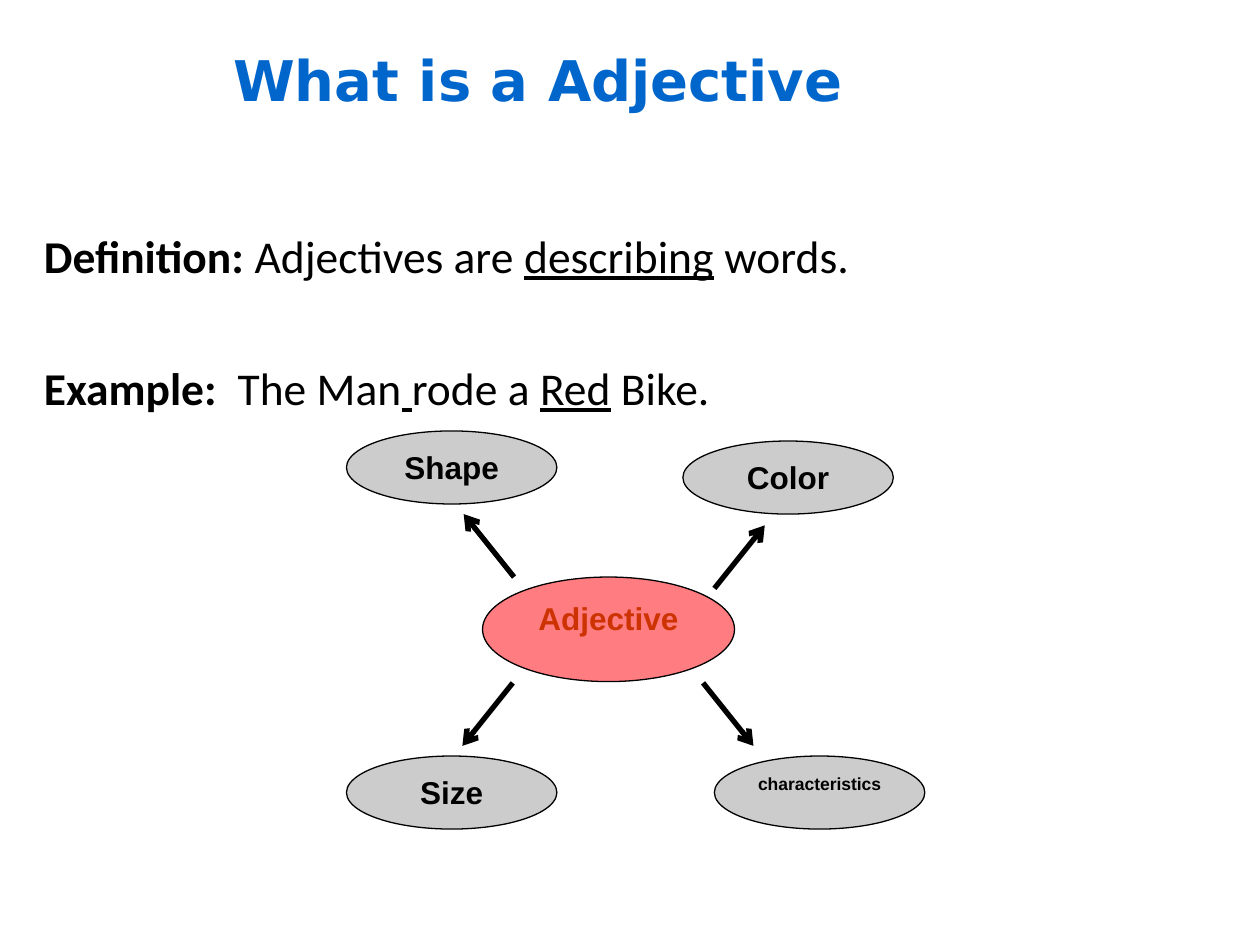
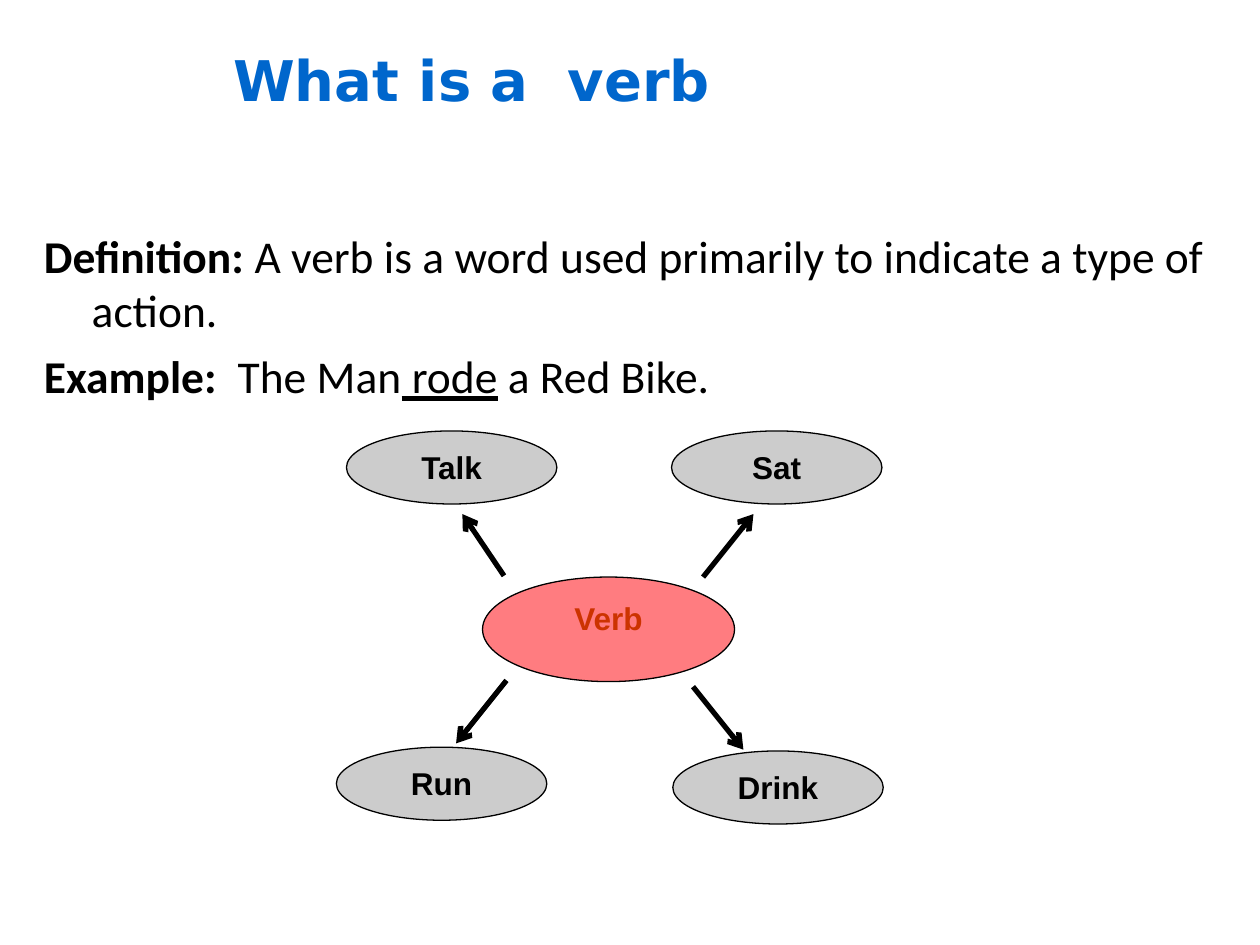
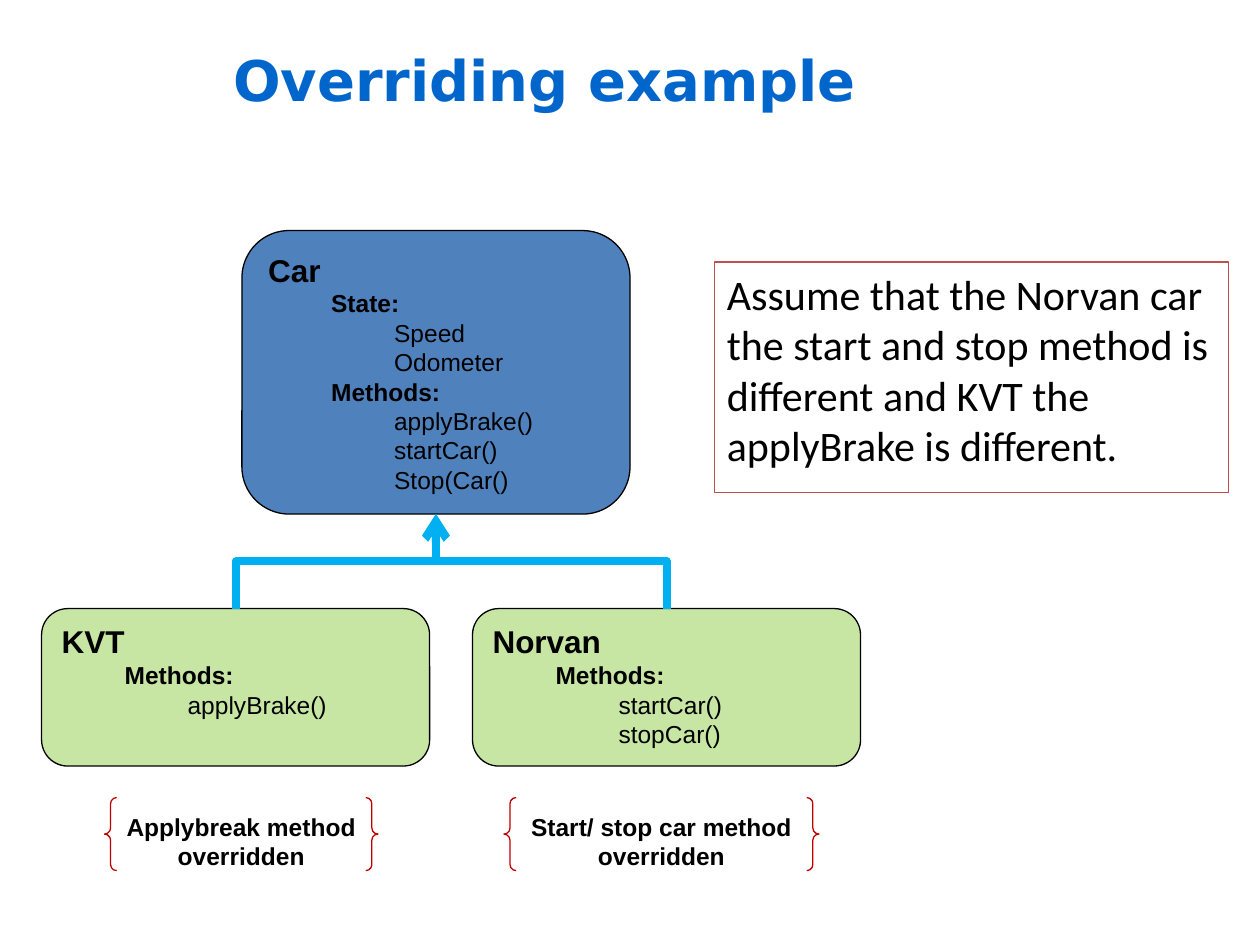
from lxml.etree import SubElement
from pptx import Presentation
from pptx.dml.color import RGBColor
from pptx.enum.shapes import MSO_CONNECTOR, MSO_SHAPE
from pptx.enum.text import MSO_ANCHOR, MSO_AUTO_SIZE, PP_ALIGN
from pptx.oxml.ns import qn
from pptx.util import Inches, Pt

BLACK, WHITE, TITLE_BLUE = "000000", "FFFFFF", "0066CC"
HUB_PINK, HUB_TEXT, WORD_GREY = "FF7C80", "CC3300", "CCCCCC"
CLASS_BLUE, SUBCLASS_GREEN, INHERIT_BLUE = "4F81BD", "C7E6A4", "00B0F0"
NOTE_RED, BRACE_RED = "C0504D", "C00000"

TITLE_BOX = (1.75, 0, 8.25, 1.25)
BODY_BOX = (0.25, 1.76, 9.5, 5.41)
WEB_ORIGIN = (2.67, 3.42)
WORD_SIZE = (1.67, 0.58)
DIAGRAM_ORIGIN = (0.33, 1.83)
CLASS_WIDTH = 3.08

TITLE_FONT = {"name": "DejaVu Sans", "size": Pt(32), "bold": True}
BODY_FONT = {"name": "Calibri", "size": Pt(26)}
NOTE_FONT = {"name": "Calibri", "size": Pt(24)}
LABEL_FONT = {"name": "Arial", "size": Pt(18), "bold": True}
SMALL_FONT = {**LABEL_FONT, "size": Pt(10)}
MEMBER_FONT = {**LABEL_FONT, "size": Pt(14)}
LEVEL_FONTS = (LABEL_FONT, MEMBER_FONT, {**MEMBER_FONT, "bold": False})

WORD_SLIDES = [
    {
        "title": "What is a Adjective",
        "definition": [("Definition: ", "b"), ("Adjectives are ", ""),
                       ("describing", "u"), (" words.", "")],
        "example": [("Example: ", "b"), (" The Man", ""), (" ", "u"),
                    ("rode a ", ""), ("Red", "u"), (" Bike.", "")],
        "example_gap": 44.2,
        "hub": "Adjective",
        "words": [
            ("Color", LABEL_FONT, (2.75, 0.08), (3, 1.25), (3.4, 0.75)),
            ("Shape", LABEL_FONT, (0.08, 0), (1.41, 1.16), (1.01, 0.66)),
            ("Size", LABEL_FONT, (0.08, 2.58), (1.4, 2), (1, 2.5)),
            ("characteristics", SMALL_FONT, (3, 2.58), (2.91, 2), (3.31, 2.5)),
        ],
    },
    {
        "title": "What is a  verb",
        "definition": [("Definition: ", "b"),
                       ("A verb is a word used primarily to indicate a type of action.", "")],
        "example": [("Example: ", "b"), (" The Man", ""), (" rode", "u"),
                    (" a Red Bike.", "")],
        "example_gap": 6.5,
        "hub": "Verb",
        "words": [
            ("Sat", LABEL_FONT, (2.66, 0), (2.91, 1.16), (3.31, 0.66)),
            ("Talk", LABEL_FONT, (0.08, 0), (1.33, 1.15), (1, 0.66)),
            ("Run", LABEL_FONT, (0, 2.51), (1.35, 1.98), (0.95, 2.48)),
            ("Drink", LABEL_FONT, (2.67, 2.54), (2.83, 2.03), (3.23, 2.53)),
        ],
    },
]

CAR_MEMBERS = [("Car", 0), ("State:", 1), ("Speed", 2), ("Odometer", 2),
               ("Methods:", 1), ("applyBrake()", 2), ("startCar()", 2), ("Stop(Car()", 2)]
SUBCLASSES = [
    (0, [("KVT", 0), ("Methods:", 1), ("applyBrake()", 2)]),
    (3.42, [("Norvan", 0), ("Methods:", 1), ("startCar()", 2), ("stopCar()", 2)]),
]
OVERRIDES = [
    (0.5, 2.17, "Applybreak method overridden"),
    (3.67, 2.5, "Start/ stop car method overridden"),
]


def rgb(hex_code):
    """Turn a hex string into a colour."""
    return RGBColor.from_string(hex_code)


def inches(*lengths):
    """Turn numbers into lengths in inches."""
    return [Inches(length) for length in lengths]


def add_run(paragraph, text, font, color=BLACK):
    """Append a run formatted from a dict of font values."""
    run = paragraph.add_run()
    run.text = text
    run.font.color.rgb = rgb(color)
    for key, value in font.items():
        setattr(run.font, key, value)


def add_panel(slide, kind, box, fill, line):
    """Add an outlined shape with top-left text and return it."""
    panel = slide.shapes.add_shape(kind, *inches(*box))
    panel.shadow.inherit = False
    if fill:
        panel.fill.solid()
        panel.fill.fore_color.rgb = rgb(fill)
    else:
        panel.fill.background()
    panel.line.color.rgb = rgb(line)
    panel.line.width = Pt(0.75)
    panel.text_frame.word_wrap = True
    panel.text_frame.vertical_anchor = MSO_ANCHOR.TOP
    panel.text_frame.paragraphs[0].alignment = PP_ALIGN.LEFT
    return panel


def add_label(slide, kind, box, fill, line, text, font, color=BLACK):
    """Add a shape with one centred label."""
    label = add_panel(slide, kind, box, fill, line).text_frame.paragraphs[0]
    label.alignment = PP_ALIGN.CENTER
    add_run(label, text, font, color)


def add_arrow(slide, kind, start, end, color, width):
    """Add a connector with an open arrowhead at its end."""
    arrow = slide.shapes.add_connector(kind, *inches(*start, *end))
    arrow.line.color.rgb = rgb(color)
    arrow.line.width = Pt(width)
    SubElement(arrow.line._get_or_add_ln(), qn("a:tailEnd"), type="arrow")
    SubElement(arrow._element.spPr, qn("a:effectLst"))
    return arrow


def add_inheritance(slide, child, parent):
    """Add an elbow that leaves a child upwards and ends at its parent."""
    center_x, center_y = (child[0] + parent[0]) / 2, (child[1] + parent[1]) / 2
    half_x, half_y = child[0] - center_x, child[1] - center_y
    elbow = add_arrow(slide, MSO_CONNECTOR.ELBOW,
                      (center_x - half_y, center_y + half_x),
                      (center_x + half_y, center_y - half_x), INHERIT_BLUE, 4.5)
    elbow._element.spPr.find(qn("a:xfrm")).set("rot", str(270 * 60000))


def add_titled_slide(prs, title):
    """Add a title-only slide and format its title."""
    slide = prs.slides.add_slide(prs.slide_layouts[5])
    heading = slide.shapes.title
    heading.left, heading.top, heading.width, heading.height = inches(*TITLE_BOX)
    frame = heading.text_frame
    frame.auto_size = MSO_AUTO_SIZE.NONE
    frame.vertical_anchor = MSO_ANCHOR.MIDDLE
    frame.paragraphs[0].alignment = PP_ALIGN.LEFT
    add_run(frame.paragraphs[0], title, TITLE_FONT, TITLE_BLUE)
    return slide


def add_explanation(slide, box, definition, example, example_gap):
    """Write the definition and example with hanging indents."""
    frame = slide.shapes.add_textbox(*inches(*box)).text_frame
    frame.word_wrap = True
    lines = ((frame.paragraphs[0], definition, 6.5),
             (frame.add_paragraph(), example, example_gap))
    for paragraph, parts, gap in lines:
        paragraph.space_before = Pt(gap)
        properties = paragraph._p.get_or_add_pPr()
        properties.set("marL", str(Inches(0.38)))
        properties.set("indent", str(Inches(-0.38)))
        for text, style in parts:
            add_run(paragraph, text, {**BODY_FONT, "bold": style == "b",
                                      "underline": style == "u"})


def add_word_web(slide, origin, hub, words):
    """Draw a hub ellipse with arrows to its surrounding words."""
    left, top = origin
    add_label(slide, MSO_SHAPE.OVAL, (left + 1.16, top + 1.16, 2, 0.83),
              HUB_PINK, BLACK, hub, LABEL_FONT, HUB_TEXT)
    for word, font, (x, y), start, end in words:
        add_arrow(slide, MSO_CONNECTOR.STRAIGHT, (left + start[0], top + start[1]),
                  (left + end[0], top + end[1]), BLACK, 3)
        add_label(slide, MSO_SHAPE.OVAL, (left + x, top + y, *WORD_SIZE),
                  WORD_GREY, BLACK, word, font)


def add_class(slide, box, fill, members):
    """Draw a class box with its members indented by level."""
    frame = add_panel(slide, MSO_SHAPE.ROUNDED_RECTANGLE, box, fill, BLACK).text_frame
    for index, (text, level) in enumerate(members):
        paragraph = frame.add_paragraph() if index else frame.paragraphs[0]
        paragraph.alignment = PP_ALIGN.LEFT
        paragraph.level = level
        paragraph._p.get_or_add_pPr().set("marL", str(Inches(0.5 * level)))
        add_run(paragraph, text, LEVEL_FONTS[level])


def add_class_diagram(slide, origin):
    """Draw the parent class, its subclasses and the override remarks."""
    left, top = origin
    parent_left, parent_height, child_top = left + 1.59, 2.25, top + 3
    add_class(slide, (parent_left, top, CLASS_WIDTH, parent_height), CLASS_BLUE, CAR_MEMBERS)
    parent_foot = (parent_left + CLASS_WIDTH / 2, top + parent_height)
    for x, members in SUBCLASSES:
        add_class(slide, (left + x, child_top, CLASS_WIDTH, 1.25), SUBCLASS_GREEN, members)
        add_inheritance(slide, (left + x + CLASS_WIDTH / 2, child_top), parent_foot)
    for x, width, remark in OVERRIDES:
        add_label(slide, MSO_SHAPE.DOUBLE_BRACE, (left + x, top + 4.5, width, 0.58),
                  None, BRACE_RED, remark, MEMBER_FONT)


def add_assumption(slide, box):
    """Write the assumption in a framed note."""
    note = add_panel(slide, MSO_SHAPE.RECTANGLE, box, WHITE, NOTE_RED).text_frame.paragraphs[0]
    note.space_before = Pt(6)
    add_run(note, "Assume that the Norvan car the start and stop method is different "
                  "and KVT the applyBrake is different.", NOTE_FONT)


def main():
    """Build the slides and save them."""
    prs = Presentation()
    prs.slide_width, prs.slide_height = inches(10, 7.5)
    for content in WORD_SLIDES:
        slide = add_titled_slide(prs, content["title"])
        add_explanation(slide, BODY_BOX, content["definition"], content["example"],
                        content["example_gap"])
        add_word_web(slide, WEB_ORIGIN, content["hub"], content["words"])
    overriding = add_titled_slide(prs, "Overriding example")
    add_assumption(overriding, (5.67, 2.08, 4.08, 1.83))
    add_class_diagram(overriding, DIAGRAM_ORIGIN)
    prs.save("out.pptx")


if __name__ == "__main__":
    main()
